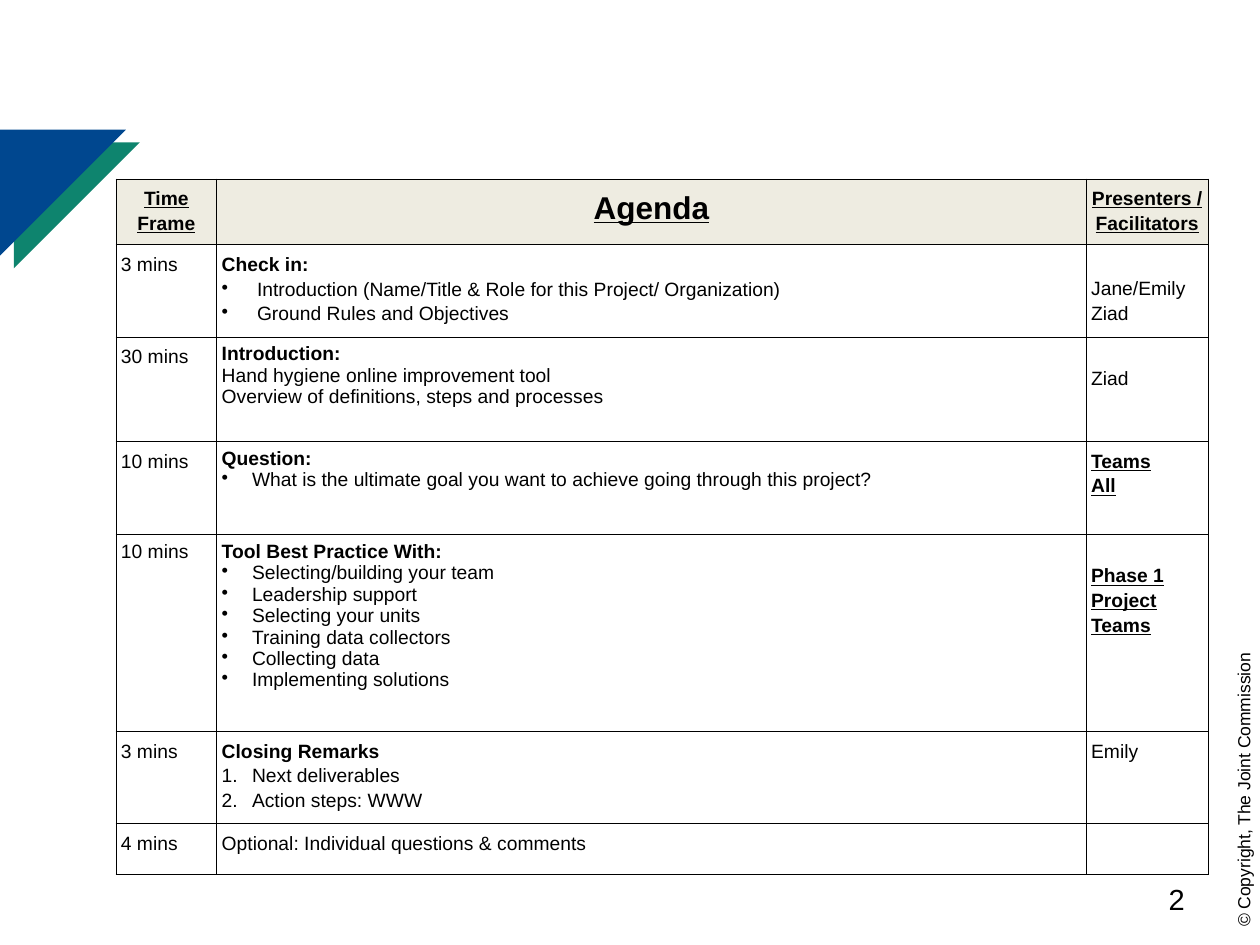
from lxml.etree import SubElement
from pptx import Presentation
from pptx.dml.color import RGBColor
from pptx.enum.text import PP_ALIGN
from pptx.oxml import parse_xml
from pptx.oxml.ns import nsdecls, qn
from pptx.util import Inches, Pt

BLACK = RGBColor(0x00, 0x00, 0x00)
CREAM = RGBColor(0xEE, 0xEC, 0xE1)
GREEN = RGBColor(0x0E, 0x84, 0x6E)
BLUE = RGBColor(0x00, 0x47, 0x8F)

WIDE = 1.15
DOT = ("buChar", "char", "•")
NUM = ("buAutoNum", "type", "arabicPeriod")

WIDTHS = [0.8, 6.9, 0.97]
HEADS = [("Time Frame", 11), ("Agenda", 18), ("Presenters /\vFacilitators", 11)]
HEAD_TALL = 0.52

# height, time, time spacing, heading, items, mark, indent, spacing, who, who is bold, who top
ROWS = [
    (0.73, "3 mins", WIDE, "Check in:",
     ["Introduction (Name/Title & Role for this Project/ Organization)",
      "Ground Rules and Objectives"],
     DOT, 0.28, WIDE, ["Jane/Emily", "Ziad"], False, 0.24),
    (0.83, "30 mins", WIDE, "Introduction:",
     ["Hand hygiene online improvement tool",
      "Overview of definitions, steps and processes"],
     None, 0, 1, ["Ziad"], False, 0.22),
    (0.74, "10 mins", WIDE, "Question:",
     ["What is the ultimate goal you want to achieve going through this project?"],
     DOT, 0.24, 1, ["Teams", "All"], True, 0.05),
    (1.56, "10 mins", 1, "Tool Best Practice With:",
     ["Selecting/building your team", "Leadership support", "Selecting your units",
      "Training data collectors", "Collecting data", "Implementing solutions"],
     DOT, 0.24, 1, ["Phase 1 Project Teams"], True, 0.22),
    (0.73, "3 mins", WIDE, "Closing Remarks", ["Next deliverables", "Action steps: WWW"],
     NUM, 0.24, WIDE, ["Emily"], False, 0.05),
    (0.4, "4 mins", WIDE, None, ["Optional: Individual questions & comments"],
     None, 0, WIDE, [], False, 0.05),
]


def style(para, size, bold=False, line=False):
    """Set the font of a paragraph."""
    font = para.font
    font.name, font.size = "Arial", Pt(size)
    font.bold, font.underline = bold, line
    font.color.rgb = BLACK


def add_mark(para, mark, indent):
    """Give a paragraph a bullet or number with a hanging indent."""
    tag, key, value = mark
    props = para._p.get_or_add_pPr()
    props.set("marL", str(Inches(indent)))
    props.set("indent", str(-Inches(indent)))
    SubElement(props, qn("a:" + tag)).set(key, value)


def write(cell, lines, space=WIDE, size=11, bold=False, line=False, align=PP_ALIGN.LEFT):
    """Fill a cell with paragraphs and return them."""
    frame = cell.text_frame
    frame.text = "\n".join(lines)
    for para in frame.paragraphs:
        para.alignment, para.line_spacing = align, space
        style(para, size, bold, line)
    return frame.paragraphs


def write_topic(cell, head, items, mark, indent, space):
    """Write a bold heading with its list of items."""
    lines = [head] + items if head else items
    frame = cell.text_frame
    frame.text = "\n".join(lines)
    for spot, para in enumerate(frame.paragraphs):
        top = bool(head) and spot == 0
        para.line_spacing = space
        if mark and not top:
            add_mark(para, mark, indent)
        style(para, 11, top)


def frame_cell(cell, fill=None):
    """Set the margins, thin borders and fill of a cell."""
    cell.margin_left = cell.margin_right = Inches(0.04)
    cell.margin_top = cell.margin_bottom = Inches(0.05)
    props = cell._tc.get_or_add_tcPr()
    for side in "LRTB":
        props.append(parse_xml(
            f'<a:ln{side} {nsdecls("a")} w="{Pt(0.45)}"><a:solidFill>'
            f'<a:srgbClr val="{BLACK}"/></a:solidFill></a:ln{side}>'))
    if fill is None:
        cell.fill.background()
    else:
        cell.fill.solid()
        cell.fill.fore_color.rgb = fill


def add_agenda(slide):
    """Build the agenda table."""
    talls = [HEAD_TALL] + [row[0] for row in ROWS]
    table = slide.shapes.add_table(
        len(talls), len(WIDTHS), Inches(0.92), Inches(1.42),
        Inches(sum(WIDTHS)), Inches(sum(talls))).table
    table.horz_banding = False
    for col, width in zip(table.columns, WIDTHS):
        col.width = Inches(width)
    for row, tall in zip(table.rows, talls):
        row.height = Inches(tall)
    for col, (text, size) in enumerate(HEADS):
        cell = table.cell(0, col)
        frame_cell(cell, CREAM)
        write(cell, [text], WIDE, size, True, True, PP_ALIGN.CENTER)
    for spot, row in enumerate(ROWS, 1):
        _, time, gap, head, items, mark, indent, space, who, bold, top = row
        cells = [table.cell(spot, col) for col in range(len(WIDTHS))]
        for cell in cells:
            frame_cell(cell)
        write(cells[0], [time], gap)
        write_topic(cells[1], head, items, mark, indent, space)
        write(cells[2], who, bold=bold, line=bold)
        cells[2].margin_top = Inches(top)


def add_corner(slide, left, top, color):
    """Draw a one-inch right triangle with its corner at top left."""
    x, y, side = Inches(left), Inches(top), Inches(1)
    pen = slide.shapes.build_freeform(x, y)
    pen.add_line_segments([(x + side, y), (x, y + side)], close=True)
    shape = pen.convert_to_shape()
    shape.shadow.inherit = False
    shape.fill.solid()
    shape.fill.fore_color.rgb = color
    shape.line.fill.background()


def add_text(slide, text, box, size, align=PP_ALIGN.LEFT, turn=0, wrap=True):
    """Add a one-line text box."""
    shape = slide.shapes.add_textbox(*[Inches(n) for n in box])
    shape.rotation = turn
    frame = shape.text_frame
    frame.word_wrap = wrap
    frame.text = text
    para = frame.paragraphs[0]
    para.alignment = align
    style(para, size)


def main():
    """Build and save the slide."""
    deck = Presentation()
    deck.slide_width, deck.slide_height = Inches(10), Inches(7.5)
    slide = deck.slides.add_slide(deck.slide_layouts[6])
    add_text(slide, "© Copyright, The Joint Commission", (8.68, 6.13, 2.38, 0.27), 10,
             turn=270, wrap=False)
    add_corner(slide, 0.11, 1.13, GREEN)
    add_corner(slide, 0, 1.03, BLUE)
    add_agenda(slide)
    add_text(slide, "2", (5.98, 6.95, 3.52, 0.4), 16.6, PP_ALIGN.RIGHT)
    deck.save("out.pptx")


if __name__ == "__main__":
    main()
